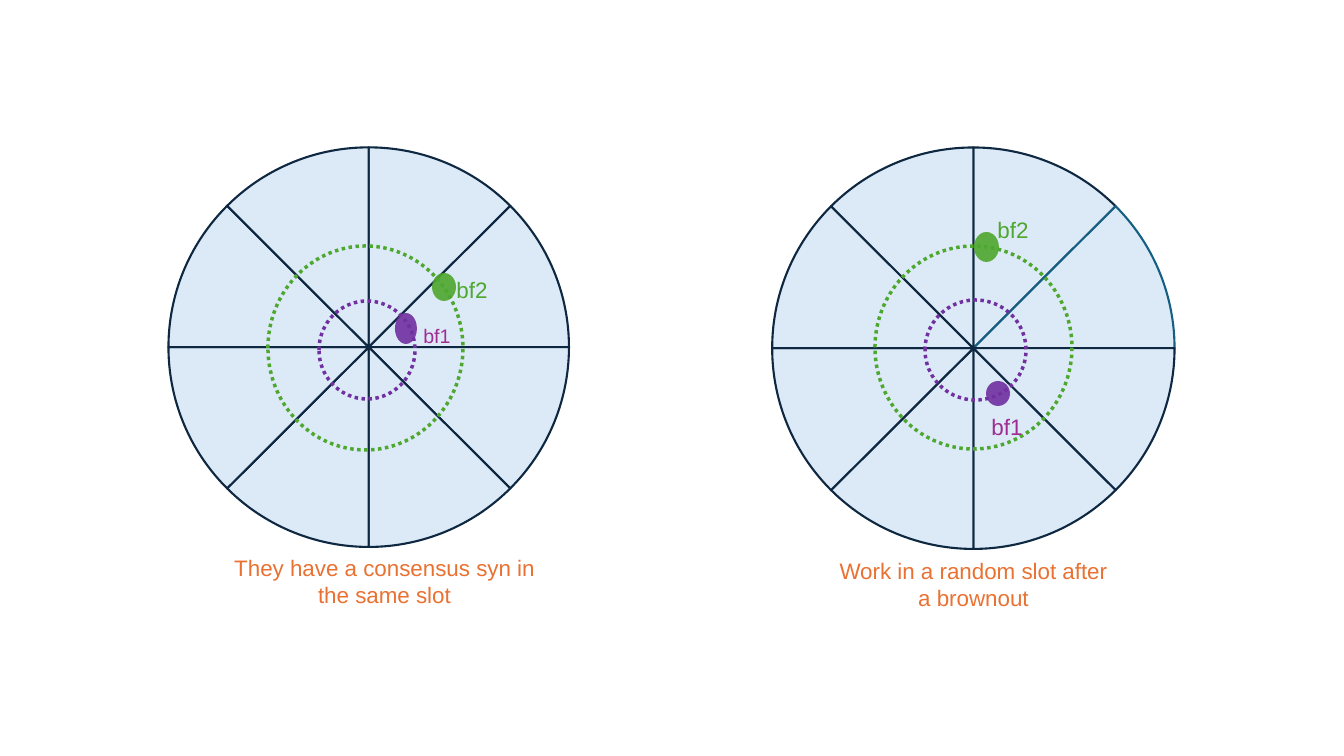
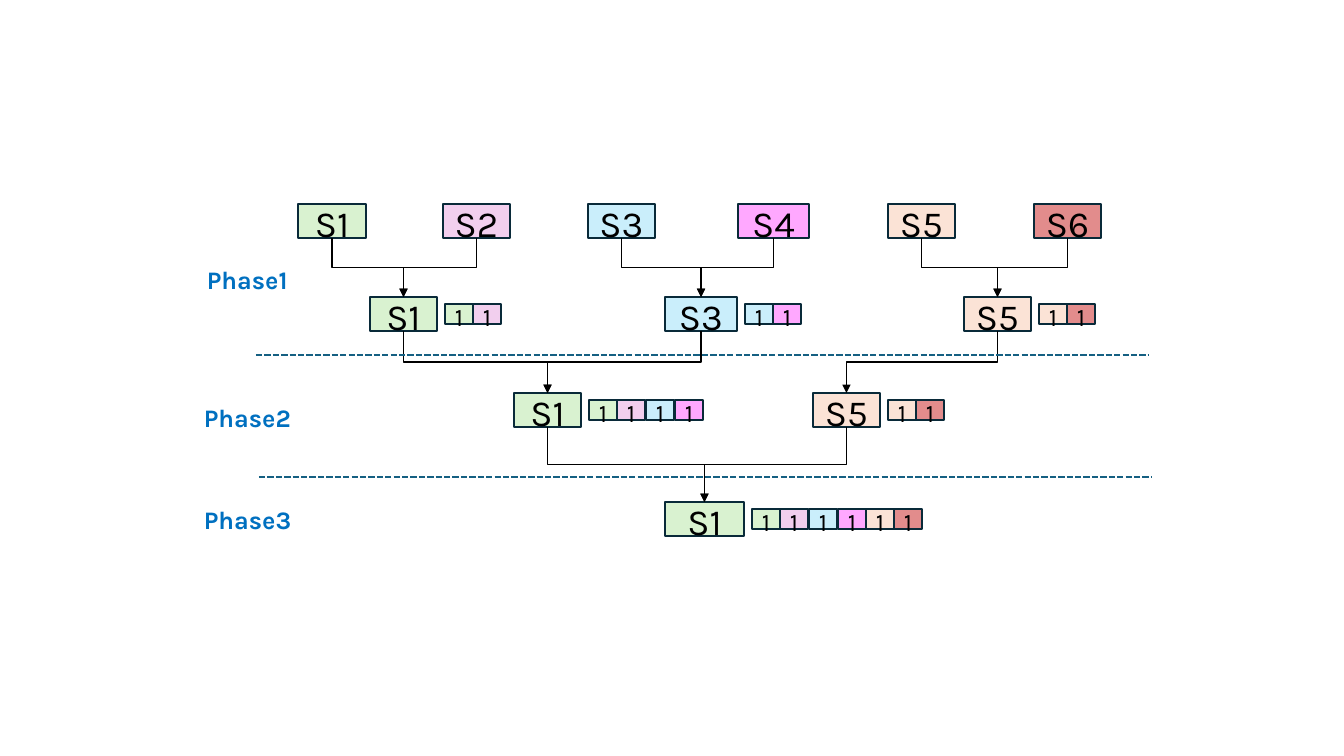
import pptx
import pptx.chart.data
import pptx.dml.color
import pptx.enum.chart
import pptx.enum.dml
import pptx.enum.shapes
import pptx.enum.text
import pptx.oxml
import pptx.oxml.ns
import pptx.util
from lxml import etree

SCALE = 12192000 / 1344
COLORS = {
    "black": "000000", "slice": "DCEAF7", "navy": "0E2841", "teal": "156082",
    "purple": "7030A0", "green": "4EA72E", "magenta": "A02B93",
    "orange": "E97132", "blue": "0070C0", "border": "092A39",
    "S1": "D9F2D0", "S2": "F2CFEE", "S3": "CAEEFB",
    "S4": "FF40FF", "S5": "FBE3D6", "S6": "C00000",
}
ALPHA = {"S4": 45, "S6": 45}
BODY_FONT = "Karla"
LABEL_FONT = "Arial"
SHAPE = pptx.enum.shapes.MSO_SHAPE
CONNECTOR = pptx.enum.shapes.MSO_CONNECTOR
DASH = pptx.enum.dml.MSO_LINE
CENTER = pptx.enum.text.PP_ALIGN.CENTER


def px(n):
    return pptx.util.Emu(round(n * SCALE))


def rgb(name):
    return pptx.dml.color.RGBColor.from_string(COLORS[name])


def add_xml(parent, tag, **attrs):
    child = etree.SubElement(parent, pptx.oxml.ns.qn(tag))
    for key, value in attrs.items():
        child.set(key, value)
    return child


def set_fill(sp, color, alpha=100):
    sp.fill.solid()
    sp.fill.fore_color.rgb = rgb(color)
    if alpha < 100:
        clr = sp.element.spPr.find(".//" + pptx.oxml.ns.qn("a:srgbClr"))
        add_xml(clr, "a:alpha", val=str(alpha * 1000))


def set_line(line, color, width, dash=None):
    line.color.rgb = rgb(color)
    line.width = pptx.util.Pt(width)
    if dash:
        line.dash_style = dash


def set_text(tf, text, size, color, font, bold=False, align=None):
    tf.text = text
    p = tf.paragraphs[0]
    p.alignment = align
    for r in p.runs:
        r.font.size = pptx.util.Pt(size)
        r.font.name = font
        r.font.bold = bold
        r.font.color.rgb = rgb(color)


def add_label(slide, box, text, size, color, font=LABEL_FONT, bold=False, align=CENTER):
    sp = slide.shapes.add_textbox(*map(px, box))
    sp.text_frame.word_wrap = True
    set_text(sp.text_frame, text, size, color, font, bold, align)


def add_plain_shape(slide, kind, box):
    sp = slide.shapes.add_shape(kind, *map(px, box))
    sp.shadow.inherit = False
    return sp


def add_orbit(slide, box, color):
    sp = add_plain_shape(slide, SHAPE.FLOWCHART_CONNECTOR, box)
    sp.fill.background()
    set_line(sp.line, color, 2.5, DASH.ROUND_DOT)


def add_dot(slide, box, color):
    sp = add_plain_shape(slide, SHAPE.FLOWCHART_CONNECTOR, box)
    set_fill(sp, color, 90)
    sp.line.fill.background()


def add_wheel(slide, box, layout, accents=()):
    data = pptx.chart.data.CategoryChartData()
    data.categories = [str(n) for n in range(1, 9)]
    data.add_series("Series 1", [12] * 8)
    frame = slide.shapes.add_chart(
        pptx.enum.chart.XL_CHART_TYPE.PIE, *map(px, box), data)
    chart = frame.chart
    chart.has_legend = False
    chart.has_title = False
    chart.font.name = BODY_FONT
    chart.font.size = pptx.util.Pt(10)
    chart.font.color.rgb = rgb("black")
    plot = chart.plots[0]
    plot.vary_by_categories = False
    for i in range(8):
        point = plot.series[0].points[i].format
        point.fill.solid()
        point.fill.fore_color.rgb = rgb("slice")
        set_line(point.line, "teal" if i in accents else "navy", 1.5)
    area = chart.element.find(".//" + pptx.oxml.ns.qn("c:plotArea"))
    for old in area.findall(pptx.oxml.ns.qn("c:layout")):
        area.remove(old)
    holder = area.makeelement(pptx.oxml.ns.qn("c:layout"))
    area.insert(0, holder)
    manual = add_xml(holder, "c:manualLayout")
    add_xml(manual, "c:layoutTarget", val="inner")
    for tag in ("xMode", "yMode"):
        add_xml(manual, "c:" + tag, val="edge")
    for tag, value in zip("xywh", layout):
        add_xml(manual, "c:" + tag, val=str(value))


def add_box(slide, box, text, size, name):
    sp = add_plain_shape(slide, SHAPE.RECTANGLE, box)
    set_fill(sp, name, ALPHA.get(name, 100))
    set_line(sp.line, "border", 1.5)
    tf = sp.text_frame
    tf.margin_left = tf.margin_right = tf.margin_bottom = 0
    tf.margin_top = px(4)
    tf.word_wrap = False
    tf.vertical_anchor = pptx.enum.text.MSO_ANCHOR.MIDDLE
    set_text(tf, text, size, "black", BODY_FONT, align=CENTER)
    return sp


def add_node(slide, name, x, y, w):
    return add_box(slide, (x, y, w, 34), name, 26.3, name)


def add_counter(slide, x, y, members):
    for i, name in enumerate(members):
        add_box(slide, (x + round(i * 28.5), y, 28, 20), "1", 18, name)


def add_line(slide, kind, start, end, color, width):
    line = slide.shapes.add_connector(kind, *start, *end)
    set_line(line.line, color, width)
    add_xml(line.element.spPr, "a:effectLst")
    return line


def add_merge_arrow(slide, upper, lower):
    x1, y1 = upper.left + upper.width // 2, upper.top + upper.height
    x2, y2 = lower.left + lower.width // 2, lower.top
    arrow = add_line(slide, CONNECTOR.ELBOW, (x1, y1), (x2, y2), "black", 1)
    add_xml(arrow.line._get_or_add_ln(), "a:tailEnd", type="triangle")
    arrow.begin_connect(upper, 2)
    arrow.end_connect(lower, 0)
    drop, run = y2 - y1, abs(x2 - x1)
    arrow.left = (x1 + x2 - drop) // 2
    arrow.top = (y1 + y2 - run) // 2
    arrow.width, arrow.height = drop, run
    rightward = x2 > x1
    xfrm = arrow.element.spPr.find(pptx.oxml.ns.qn("a:xfrm"))
    xfrm.set("rot", "16200000" if rightward else "5400000")
    xfrm.set("flipH", "1" if rightward else "0")


def build_slots(slide):
    add_wheel(slide, (78, 125, 556, 423), (0.107, 0.053, 0.832, 0.947))
    add_orbit(slide, (319, 301, 96, 98), "purple")
    add_orbit(slide, (268, 246, 195, 204), "green")
    add_dot(slide, (432, 273, 24, 28), "green")
    add_label(slide, (411, 319, 52, 34), "bf1", 14, "magenta")
    add_label(slide, (446, 271, 52, 37), "bf2", 16, "green")
    add_label(slide, (212, 549, 345, 65), "They have a consensus syn in the same slot", 16, "orange")
    add_dot(slide, (395, 313, 22, 31), "purple")

    add_wheel(slide, (649, 125, 556, 425), (0.22, 0.053, 0.727, 0.947), accents=(1,))
    add_orbit(slide, (925, 300, 101, 100), "purple")
    add_orbit(slide, (875, 246, 197, 203), "green")
    add_label(slide, (981, 408, 52, 37), "bf1", 16, "magenta")
    add_label(slide, (987, 211, 52, 37), "bf2", 16, "green")
    add_label(slide, (825, 552, 297, 65), "Work in a random slot after a brownout", 16, "orange")
    add_dot(slide, (986, 381, 24, 25), "purple")
    add_dot(slide, (974, 232, 25, 30), "green")


def build_phases(slide):
    sources = [("S1", 298, 68), ("S2", 443, 67), ("S3", 588, 67),
               ("S4", 738, 71), ("S5", 888, 67), ("S6", 1034, 67)]
    merges = [
        (297, [("S1", 370, 67, (0, 1), 2), ("S3", 665, 72, (2, 3), 2), ("S5", 964, 67, (4, 5), 2)]),
        (393, [("S1", 514, 67, (0, 1), 4), ("S5", 813, 67, (2,), 2)]),
        (502, [("S1", 665, 79, (0, 1), 6)]),
    ]
    names = [name for name, _, _ in sources]
    above = [add_node(slide, name, x, 204, w) for name, x, w in sources]
    for y, row in merges:
        nodes = []
        for name, x, w, parents, count in row:
            node = add_node(slide, name, x, y, w)
            for i in parents:
                add_merge_arrow(slide, above[i], node)
            first = names.index(name)
            add_counter(slide, x + w + 8, y + 7, names[first:first + count])
            nodes.append(node)
        above = nodes
    for text, x, y in (("Phase1", 197, 259), ("Phase2", 194, 397), ("Phase3", 194, 499)):
        add_label(slide, (x, y, 125, 40), text, 18, "blue", BODY_FONT, True, None)
    for x1, x2, y in ((256, 1149, 355), (259, 1151, 477)):
        line = add_line(slide, CONNECTOR.STRAIGHT, (px(x1), px(y)), (px(x2), px(y)), "teal", 1.5)
        line.line.dash_style = DASH.SQUARE_DOT
        dash = line.element.spPr.find(".//" + pptx.oxml.ns.qn("a:prstDash"))
        dash.set("val", "sysDash")


def main():
    prs = pptx.Presentation()
    prs.slide_width, prs.slide_height = px(1344), px(756)
    for build in (build_slots, build_phases):
        build(prs.slides.add_slide(prs.slide_layouts[6]))
    prs.save("out.pptx")


if __name__ == "__main__":
    main()
